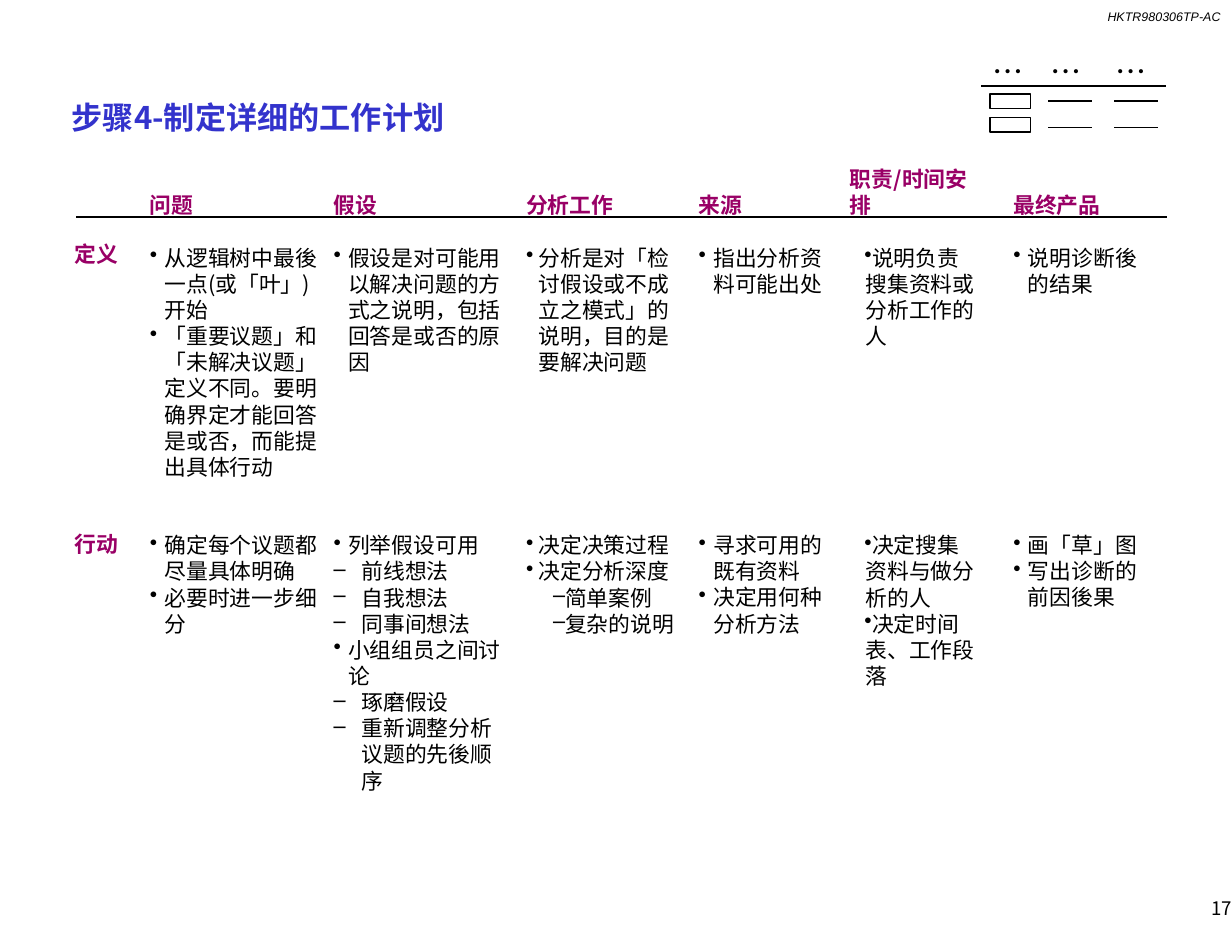
from dataclasses import dataclass
from itertools import product

from lxml.etree import SubElement
from pptx import Presentation
from pptx.dml.color import RGBColor
from pptx.enum.shapes import MSO_CONNECTOR, MSO_SHAPE
from pptx.enum.text import MSO_ANCHOR, MSO_AUTO_SIZE, PP_ALIGN
from pptx.oxml.ns import qn
from pptx.util import Inches, Pt

COLORS = {"text": "000000", "title": "3333CC", "heading": "990066", "paper": "FFFFFF"}
CJK_FONT = "Noto Sans CJK SC"
BODY_SIZE = 14
LINE_RATIO = 1.2
LINE = BODY_SIZE * LINE_RATIO
HEADING_BASE = 1.9  # bottom of the last heading line
ROW_LINES = 11  # text lines from the start of one row to the next


@dataclass(frozen=True)
class Bullet:
    text: str
    level: int = 0


@dataclass(frozen=True)
class Column:
    left: float
    width: float
    heading: str
    definition: list[Bullet]
    actions: list[Bullet]
    definition_lines: int
    heading_lines: int = 1
    height: float = 4.07
    indents: tuple[tuple[float, float], ...] = ((0.13, -0.13), (0.25, -0.25))


COLUMNS = [
    Column(1.24, 1.76, "问题",
           [Bullet("从逻辑树中最後一点(或「叶」)开始"),
            Bullet("「重要议题」和「未解决议题」定义不同。要明确界定才能回答是或否，而能提出具体行动")],
           [Bullet("确定每个议题都尽量具体明确"), Bullet("必要时进一步细分")], 9),
    Column(2.88, 1.73, "假设",
           [Bullet("假设是对可能用以解决问题的方式之说明，包括回答是或否的原因")],
           [Bullet("列举假设可用"), Bullet("前线想法", 1), Bullet("自我想法", 1),
            Bullet("同事间想法", 1), Bullet("小组组员之间讨论"), Bullet("琢磨假设", 1),
            Bullet("重新调整分析议题的先後顺序", 1)], 5, height=5.47),
    Column(4.6, 1.54, "分析工作",
           [Bullet("分析是对「检讨假设或不成立之模式」的说明，目的是要解决问题")],
           [Bullet("决定决策过程"), Bullet("决定分析深度"),
            Bullet("简单案例", 1), Bullet("复杂的说明", 1)], 5,
           indents=((0.11, -0.11), (0.26, -0.02))),
    Column(6.14, 1.42, "来源",
           [Bullet("指出分析资料可能出处")],
           [Bullet("寻求可用的既有资料"), Bullet("决定用何种分析方法")], 2),
    Column(7.49, 1.34, "职责/时间安排",
           [Bullet("说明负责搜集资料或分析工作的人")],
           [Bullet("决定搜集资料与做分析的人"), Bullet("决定时间表、工作段落")], 4,
           heading_lines=2, height=4.77, indents=((0.14, -0.01),)),
    Column(8.95, 1.46, "最终产品",
           [Bullet("说明诊断後的结果")],
           [Bullet("画「草」图"), Bullet("写出诊断的前因後果")], 2),
]


def style(paragraph, size: float = BODY_SIZE, color: str = "text", bold: bool = False,
          font_name: str = CJK_FONT, italic: bool = False) -> None:
    font = paragraph.font
    font.size, font.bold, font.italic, font.name = Pt(size), bold, italic, font_name
    font.color.rgb = RGBColor.from_string(COLORS[color])
    if font_name == CJK_FONT:
        SubElement(font._rPr, qn("a:ea")).set("typeface", font_name)
        paragraph.line_spacing = Pt(size * LINE_RATIO)


def prepare_frame(frame, inset: bool = True, wrap: bool = True) -> None:
    frame.auto_size = MSO_AUTO_SIZE.NONE
    frame.word_wrap = wrap
    frame.vertical_anchor = MSO_ANCHOR.TOP
    frame.margin_left = frame.margin_right = Inches(0.1 if inset else 0)
    frame.margin_top = frame.margin_bottom = Inches(0.05 if inset else 0)


def add_text(shapes, left: float, top: float, width: float, height: float, text: str,
             inset: bool = True, wrap: bool = True, align=PP_ALIGN.LEFT, **font):
    box = shapes.add_textbox(Inches(left), Inches(top), Inches(width), Inches(height))
    prepare_frame(box.text_frame, inset, wrap)
    paragraph = box.text_frame.paragraphs[0]
    paragraph.text = text
    paragraph.alignment = align
    style(paragraph, **font)
    return box.text_frame


def add_bullet(frame, bullet: Bullet, indents, blank_lines: int) -> None:
    paragraph = frame.add_paragraph()
    paragraph.text = bullet.text
    margin, indent = indents[bullet.level]
    properties = paragraph._p.get_or_add_pPr()
    properties.set("marL", str(Inches(margin)))
    properties.set("indent", str(Inches(indent)))
    bullet_color = SubElement(properties, qn("a:buClr"))
    SubElement(bullet_color, qn("a:srgbClr")).set("val", COLORS["text"])
    SubElement(properties, qn("a:buChar")).set("char", "•–"[bullet.level])
    style(paragraph)
    paragraph.level = bullet.level
    paragraph.space_before = Pt(blank_lines * LINE)


def add_column(shapes, column: Column) -> None:
    top = HEADING_BASE - column.heading_lines * LINE / 72
    frame = add_text(shapes, column.left, top, column.width, column.height,
                     column.heading, color="heading", bold=True)
    rows = ((column.definition, 1), (column.actions, ROW_LINES - column.definition_lines))
    for bullets, gap in rows:
        for index, bullet in enumerate(bullets):
            add_bullet(frame, bullet, column.indents, 0 if index else gap)


def add_rule(shapes, left: float, right: float, y: float) -> None:
    rule = shapes.add_connector(MSO_CONNECTOR.STRAIGHT, Inches(left), Inches(y),
                                Inches(right), Inches(y))
    rule.line.color.rgb = RGBColor.from_string(COLORS["text"])
    rule.line.width = Pt(1)
    SubElement(rule._element.spPr, qn("a:effectLst"))


def add_plan_icon(shapes) -> None:
    """Draw the small work-plan table in the top right corner."""
    icon = shapes.add_group_shape().shapes
    for top in (0.84, 1.05):
        cell = icon.add_shape(MSO_SHAPE.RECTANGLE, Inches(8.84), Inches(top),
                              Inches(0.36), Inches(0.13))
        cell.shadow.inherit = False
        cell.fill.solid()
        cell.fill.fore_color.rgb = RGBColor.from_string(COLORS["paper"])
        cell.line.color.rgb = RGBColor.from_string(COLORS["text"])
        cell.line.width = Pt(1)
    add_rule(icon, 8.76, 10.41, 0.77)
    for left, y in product((9.36, 9.95), (0.9, 1.14)):
        add_rule(icon, left, left + 0.39, y)
    for left in (8.76, 9.28, 9.86):
        add_text(icon, left, 0.42, 0.5, 0.43, "…", size=20)


def add_title(slide, text: str) -> None:
    title = slide.shapes.title
    title.left, title.top = Inches(0.64), Inches(0.88)
    title.width, title.height = Inches(8.93), Inches(0.33)
    prepare_frame(title.text_frame, inset=False)
    paragraph = title.text_frame.paragraphs[0]
    paragraph.text = text
    paragraph.alignment = PP_ALIGN.LEFT
    style(paragraph, size=20, color="title", bold=True)


def main() -> None:
    presentation = Presentation()
    presentation.slide_width, presentation.slide_height = Inches(11), Inches(8.5)
    slide = presentation.slides.add_slide(presentation.slide_layouts[5])
    shapes = slide.shapes

    add_text(shapes, 9.09, 0.08, 1.81, 0.13, "HKTR980306TP-AC", inset=False,
             align=PP_ALIGN.RIGHT, size=8, font_name="Arial", italic=True)
    add_title(slide, "步骤4-制定详细的工作计划")
    for column in COLUMNS:
        add_column(shapes, column)
    add_rule(shapes, 0.68, 10.42, 1.94)
    for label, top in (("定义", 2.1), ("行动", 4.69)):
        add_text(shapes, 0.57, top, 0.59, 0.33, label, wrap=False,
                 color="heading", bold=True)
    add_plan_icon(shapes)
    page_number = add_text(shapes, 8.75, 7.99, 2.25, 0.24, "17", inset=False,
                           align=PP_ALIGN.RIGHT, size=12)
    page_number.vertical_anchor = MSO_ANCHOR.MIDDLE
    presentation.save("out.pptx")


if __name__ == "__main__":
    main()
